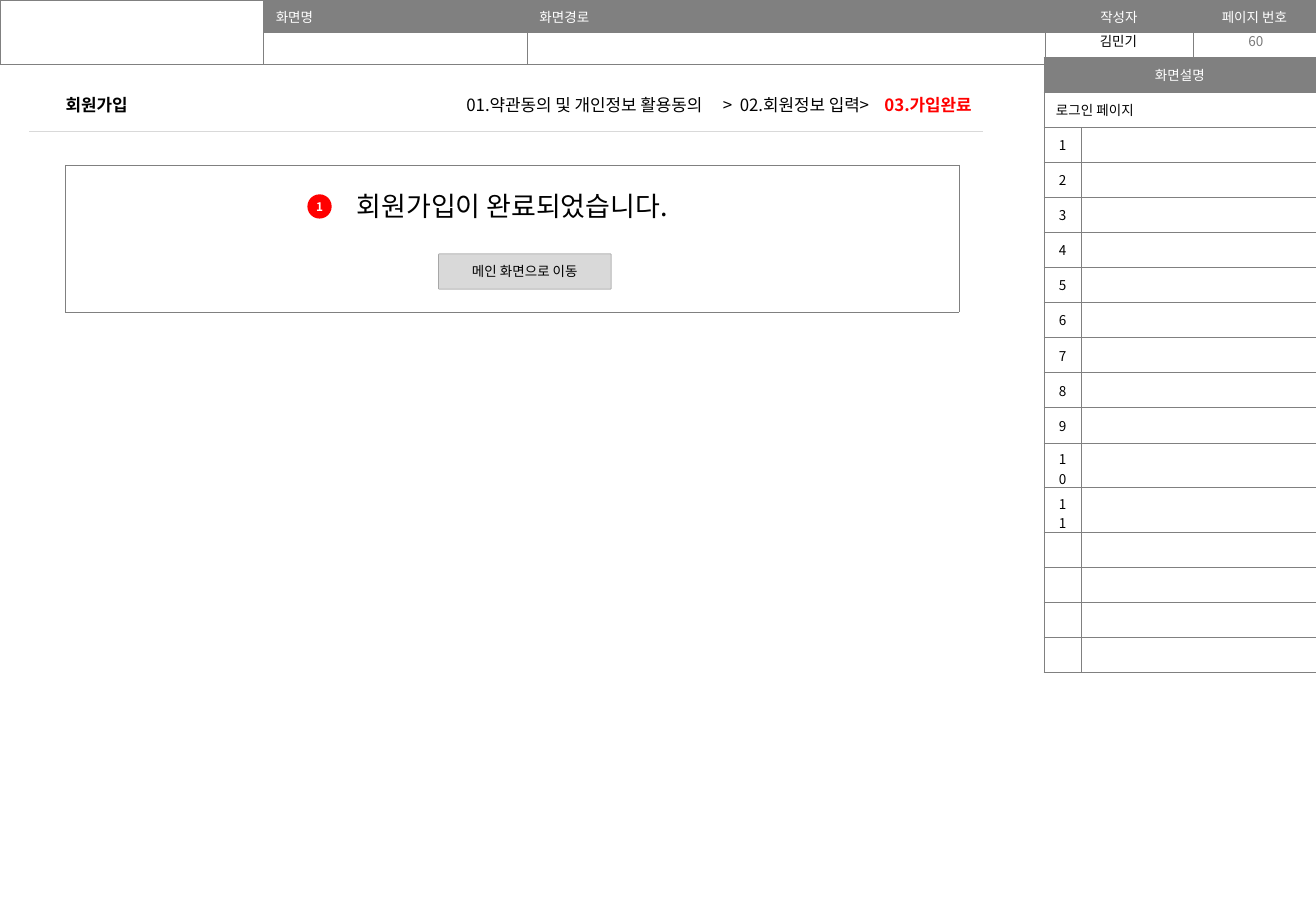
from lxml.etree import SubElement
from pptx import Presentation
from pptx.dml.color import RGBColor
from pptx.enum.shapes import MSO_CONNECTOR, MSO_SHAPE
from pptx.enum.text import MSO_ANCHOR, PP_ALIGN
from pptx.oxml.ns import qn
from pptx.util import Inches, Pt

COLORS = {
    "black": "000000", "white": "FFFFFF", "gray": "808080",
    "light": "D9D9D9", "page": "797979", "red": "FF0000",
}
FONT = "Noto Sans CJK KR"
ALIGNMENTS = {"left": PP_ALIGN.LEFT, "center": PP_ALIGN.CENTER}


def color_of(name):
    return RGBColor.from_string(COLORS[name])


def write_text(paragraph, text, size=8, color="black", bold=False, align="left"):
    paragraph.alignment = ALIGNMENTS[align]
    if not text:
        SubElement(paragraph._p, qn("a:endParaRPr"), sz=str(size * 100))
        return
    run = paragraph.add_run()
    run.text = text
    run.font.size = Pt(size)
    run.font.bold = bold
    run.font.name = FONT
    run.font.color.rgb = color_of(color)
    SubElement(run._r.get_or_add_rPr(), qn("a:ea"), typeface=FONT)


class Wireframe:
    def __init__(self, slide):
        self.slide = slide

    def frame(self, shape, horizontal=0.1, vertical=0.05):
        frame = shape.text_frame
        frame.word_wrap = True
        frame.vertical_anchor = MSO_ANCHOR.MIDDLE
        frame.margin_left = frame.margin_right = Inches(horizontal)
        frame.margin_top = frame.margin_bottom = Inches(vertical)
        return frame.paragraphs[0]

    def title(self, box, text, **style):
        shape = self.slide.shapes.title
        shape.left, shape.top, shape.width, shape.height = map(Inches, box)
        write_text(self.frame(shape), text, **style)

    def text(self, box, text, **style):
        shape = self.slide.shapes.add_textbox(*map(Inches, box))
        paragraph = self.frame(shape)
        write_text(paragraph, text, **style)
        return paragraph

    def shape(self, box, text, fill, line=None, radius=0.5, **style):
        shape = self.slide.shapes.add_shape(MSO_SHAPE.ROUNDED_RECTANGLE, *map(Inches, box))
        shape.adjustments[0] = radius
        shape.shadow.inherit = False
        shape.fill.solid()
        shape.fill.fore_color.rgb = color_of(fill)
        if line:
            shape.line.color.rgb = color_of(line)
            shape.line.width = Pt(0.25)
        else:
            shape.line.fill.background()
        write_text(self.frame(shape, 0, 0), text, align="center", **style)

    def line(self, left, right, top, color):
        ends = map(Inches, (left, top, right, top))
        line = self.slide.shapes.add_connector(MSO_CONNECTOR.STRAIGHT, *ends)
        line.line.color.rgb = color_of(color)
        line.line.width = Pt(0.75)
        SubElement(line._element.spPr, qn("a:effectLst"))

    def table(self, box, widths, rows):
        shape = self.slide.shapes.add_table(len(rows), len(widths), *map(Inches, box))
        table = shape.table
        table.first_row = table.horz_banding = False
        for column, width in zip(table.columns, widths):
            column.width = Inches(width)
        for row_index, row in enumerate(rows):
            for column_index, (text, fill, style) in enumerate(row):
                self.cell(table.cell(row_index, column_index), text, fill, style)
        return table

    def cell(self, cell, text, fill, style):
        cell.vertical_anchor = MSO_ANCHOR.MIDDLE
        properties = cell._tc.get_or_add_tcPr()
        for side in ("L", "R", "T", "B"):
            border = SubElement(properties, qn(f"a:ln{side}"), w=str(Pt(0.25)))
            solid = SubElement(border, qn("a:solidFill"))
            SubElement(solid, qn("a:srgbClr"), val=COLORS["gray"])
        cell.fill.solid()
        cell.fill.fore_color.rgb = color_of(fill)
        write_text(cell.text_frame.paragraphs[0], text, **style)


def build():
    presentation = Presentation()
    presentation.slide_width = Inches(10.83)
    presentation.slide_height = Inches(7.5)
    wireframe = Wireframe(presentation.slides.add_slide(presentation.slide_layouts[5]))
    blank = ("", "white", {})
    centered = {"align": "center"}
    heading = {"color": "white"}
    centered_heading = {**heading, **centered}

    header_row = [
        blank,
        ("화면명", "gray", heading),
        ("화면경로", "gray", heading),
        ("작성자", "gray", centered_heading),
        ("페이지 번호", "gray", centered_heading),
    ]
    header = wireframe.table((0, 0, 10.83, 0.53), (2.17, 2.17, 4.26, 1.22, 1.01),
                             [header_row, [blank] * 5])
    header.cell(0, 0).merge(header.cell(1, 0))
    wireframe.text((8.59, 0.22, 1.23, 0.24), "김민기", align="center")
    wireframe.text((9.83, 0.22, 1.01, 0.24), "60", color="page", align="center")

    wireframe.title((0.44, 0.71, 1.29, 0.3), "회원가입", size=10, bold=True)
    steps = wireframe.text((3.74, 0.71, 4.4, 0.3),
                           "01.약관동의 및 개인정보 활용동의\t>\t02.회원정보 입력>\t", size=10)
    write_text(steps, "03.가입완료", size=10, color="red", bold=True)
    tabs = SubElement(steps._p.get_or_add_pPr(), qn("a:tabLst"))
    for position in (2.11, 2.25, 3.44):
        SubElement(tabs, qn("a:tab"), pos=str(Inches(position)), algn="l")
    wireframe.line(0.24, 8.09, 1.08, "light")

    numbers = [str(number) for number in range(1, 12)] + [""] * 4
    rows = [
        [("화면설명", "gray", centered_heading), blank],
        [("로그인 페이지", "white", {}), blank],
    ]
    rows += [[(number, "white", centered), blank] for number in numbers]
    notes = wireframe.table((8.59, 0.47, 2.24, 4.91), (0.31, 1.93), rows)
    for row in range(2):
        notes.cell(row, 0).merge(notes.cell(row, 1))

    message = ("회원가입이 완료되었습니다.", "white", {"size": 16, "align": "center"})
    panel = wireframe.table((0.54, 1.36, 7.35, 1.21), (7.35,), [[message]])
    panel.cell(0, 0).vertical_anchor = MSO_ANCHOR.TOP
    panel.cell(0, 0).margin_top = Inches(0.17)
    wireframe.shape((3.61, 2.09, 1.42, 0.29), "메인 화면으로 이동", "light", line="gray", radius=0.02)
    wireframe.shape((2.53, 1.6, 0.2, 0.2), "1", "red", size=7, color="white", bold=True)
    presentation.save("out.pptx")


if __name__ == "__main__":
    build()
